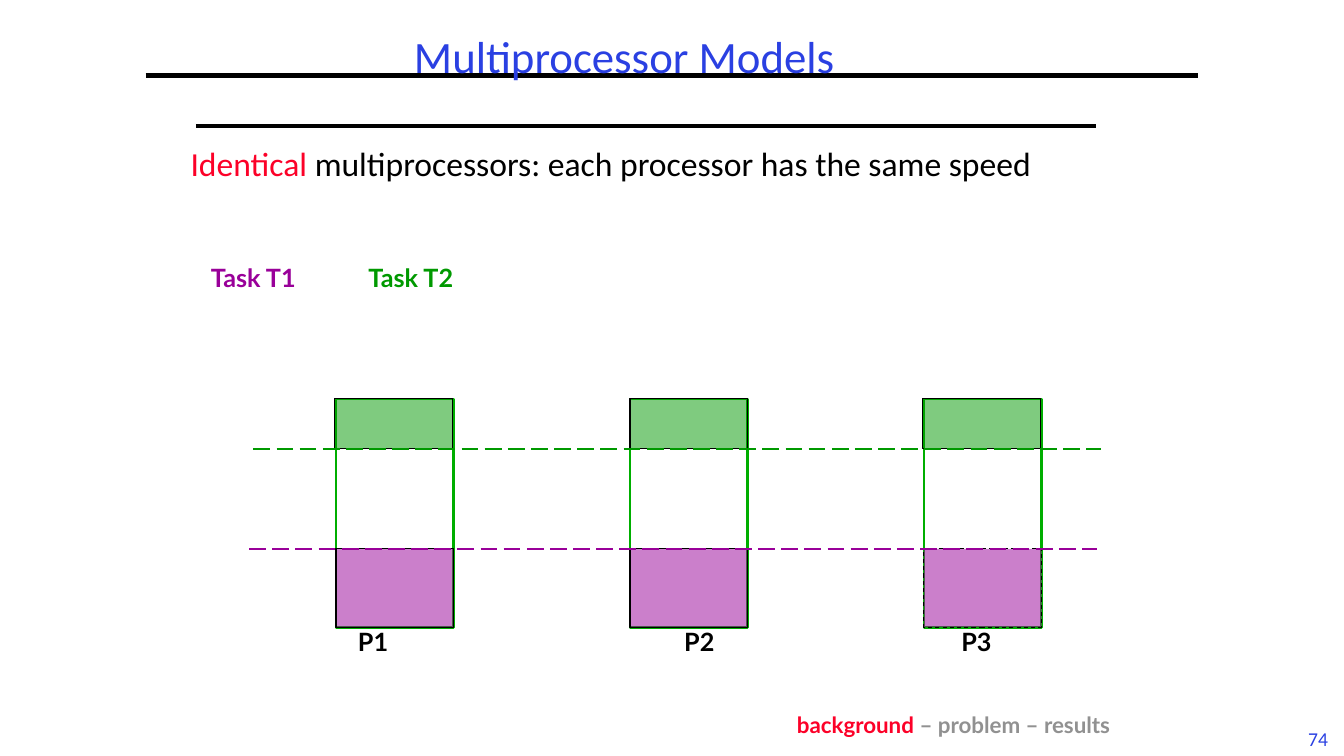
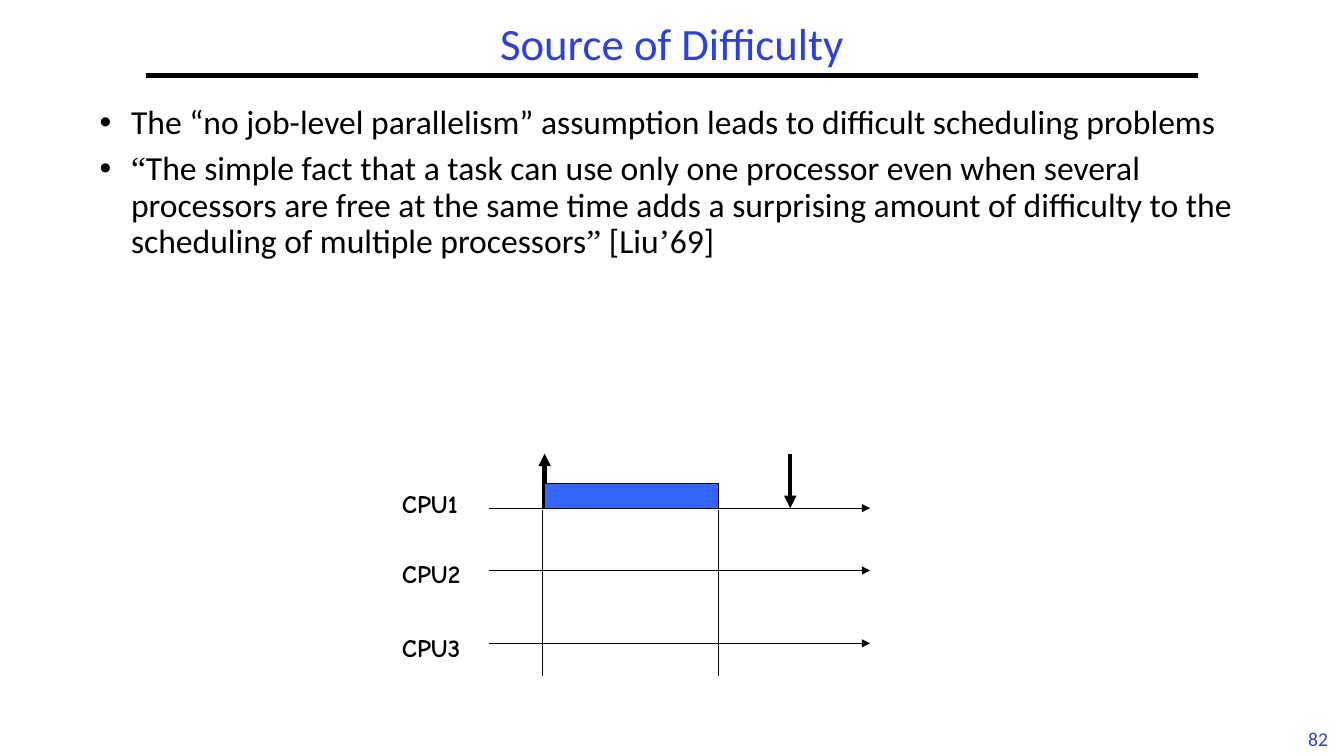
from lxml import etree
from pptx import Presentation
from pptx.dml.color import RGBColor
from pptx.enum.dml import MSO_LINE
from pptx.enum.shapes import MSO_CONNECTOR, MSO_SHAPE
from pptx.enum.text import MSO_ANCHOR, PP_ALIGN
from pptx.oxml.ns import qn
from pptx.util import Pt

RECTANGLE = MSO_SHAPE.RECTANGLE
STRAIGHT = MSO_CONNECTOR.STRAIGHT
DASH, LONG_DASH = MSO_LINE.DASH, MSO_LINE.LONG_DASH
LEFT, CENTER, RIGHT = PP_ALIGN.LEFT, PP_ALIGN.CENTER, PP_ALIGN.RIGHT
TOP, MIDDLE, BOTTOM = MSO_ANCHOR.TOP, MSO_ANCHOR.MIDDLE, MSO_ANCHOR.BOTTOM

BLACK, BLUE, RED, GRAY = "000000", "2A40E2", "FC0128", "919191"
PURPLE, GREEN, FRAME_GREEN, JOB_BLUE = "990099", "009900", "00AE00", "3366FF"

TITLE = {"name": "Calibri", "size": Pt(32), "color": BLUE}
PAGE_NUMBER = {"name": "Calibri", "size": Pt(14), "color": BLUE}
BODY = {"name": "Calibri", "size": Pt(24), "color": BLACK}
QUOTE_MARK = {**BODY, "name": "Times New Roman"}
LABEL = {"name": "Lato", "size": Pt(18), "bold": True, "color": BLACK}
FOOTER = {**LABEL, "size": Pt(16), "color": GRAY}
CPU_LABEL = {**LABEL, "name": "Comic Neue"}


def paint(color_format, hex_color):
    color_format.rgb = RGBColor.from_string(hex_color)


def apply_format(font, values):
    for attribute, value in values.items():
        if attribute == "color":
            paint(font.color, value)
        else:
            setattr(font, attribute, value)


def set_bullet(paragraph, indent):
    properties = paragraph._p.get_or_add_pPr()
    properties.set("marL", str(Pt(indent)))
    properties.set("indent", str(-Pt(indent)))
    etree.SubElement(properties, qn("a:buFont"), typeface="Arial")
    etree.SubElement(properties, qn("a:buChar"), char="•")


def add_text(slide, box, paragraphs, align=LEFT, anchor=TOP, wrap=True,
             spacing=1.0, gap=0, bullet_indent=None):
    frame = slide.shapes.add_textbox(*map(Pt, box)).text_frame
    frame.word_wrap = wrap
    frame.vertical_anchor = anchor
    for index, runs in enumerate(paragraphs):
        paragraph = frame.add_paragraph() if index else frame.paragraphs[0]
        paragraph.alignment = align
        paragraph.line_spacing = spacing
        if index:
            paragraph.space_before = Pt(gap)
        if bullet_indent:
            set_bullet(paragraph, bullet_indent)
        for text, values in runs:
            run = paragraph.add_run()
            run.text = text
            apply_format(run.font, values)


def set_line(line, color, width, dash=None):
    paint_target = line.fill
    paint_target.solid()
    paint(paint_target.fore_color, color)
    line.width = Pt(width)
    if dash:
        line.dash_style = dash


def add_line(slide, start, end, color=BLACK, width=0.75, dash=None, arrow=False):
    connector = slide.shapes.add_connector(STRAIGHT, *map(Pt, (*start, *end)))
    set_line(connector.line, color, width, dash)
    if arrow:
        etree.SubElement(connector.line._get_or_add_ln(), qn("a:tailEnd"), type="triangle")
    etree.SubElement(connector._element.spPr, qn("a:effectLst"))


def add_rect(slide, box, fill=None, alpha=None, line=BLACK, width=0.75, dash=None):
    rect = slide.shapes.add_shape(RECTANGLE, *map(Pt, box))
    rect.shadow.inherit = False
    set_line(rect.line, line, width, dash)
    if fill is None:
        rect.fill.background()
        return
    rect.fill.solid()
    paint(rect.fill.fore_color, fill)
    if alpha:
        color = rect._element.spPr.find(qn("a:solidFill"))[0]
        etree.SubElement(color, qn("a:alpha"), val=str(alpha * 1000))


def add_base(presentation, title, title_box, number):
    slide = presentation.slides.add_slide(presentation.slide_layouts[6])
    add_text(slide, (926, 516, 31, 24), [[(number, PAGE_NUMBER)]], CENTER, wrap=False)
    add_line(slide, (104, 54), (856, 54), width=3)
    add_text(slide, title_box, [[(title, TITLE)]], CENTER, MIDDLE, spacing=0.9)
    return slide


def add_label(slide, box, text, color=BLACK):
    add_text(slide, box, [[(text, {**LABEL, "color": color})]], CENTER, wrap=False, spacing=1.1)


def add_processors(slide, left, top, width, height):
    bar_width, pitch, t2_height, t1_height = 84, 210, 35.5, 56
    t1_top = top + height - t1_height
    processors = [("P1", 8, 1, None), ("P2", 31, 0, None), ("P3", 19, 1, DASH)]
    bars = [(left + 62 + index * pitch, *details) for index, details in enumerate(processors)]

    for bar_left, name, label_offset, _, _ in bars:
        add_rect(slide, (bar_left, top, bar_width, height), line=FRAME_GREEN, width=2)
        add_label(slide, (bar_left + label_offset, top + height - 6, 37, 29), name)
    for bar_left, _, _, _, dash in bars:
        add_rect(slide, (bar_left, t1_top, bar_width, t1_height), PURPLE, 50, dash=dash)
    add_line(slide, (left, t1_top), (left + width, t1_top), PURPLE, 1.5, LONG_DASH)
    for bar_left, _, _, shift, _ in bars:
        add_rect(slide, (bar_left - shift, top, bar_width, t2_height), GREEN, 50)
    t2_bottom = top + t2_height
    add_line(slide, (left + 3, t2_bottom), (left + width + 3, t2_bottom), GREEN, 1.5, LONG_DASH)


def add_schedule(slide, left, top, width, height):
    axis_left, axis_top = left + 69, top + 39
    job_left, job_width, job_height = left + 109, 124.5, 17.5
    deadline = left + 284.5

    for name, axis_offset, label_offset in [("CPU1", 0, -18), ("CPU2", 44.5, -12), ("CPU3", 96.5, -11.5)]:
        axis = axis_top + axis_offset
        add_line(slide, (axis_left, axis), (left + width, axis), arrow=True)
        add_text(slide, (left, axis + label_offset, 60, 29), [[(name, CPU_LABEL)]], wrap=False)
    add_line(slide, (deadline, top), (deadline, axis_top), width=3, arrow=True)
    add_line(slide, (job_left, axis_top), (job_left, top), width=3, arrow=True)
    add_rect(slide, (job_left, axis_top - job_height, job_width, job_height), JOB_BLUE)
    for boundary in (job_left - 1.5, job_left + job_width):
        add_line(slide, (boundary, axis_top + 1), (boundary, top + height))


def build_models(presentation):
    slide = add_base(presentation, "Multiprocessor Models", (138, 12, 616, 60), "74")
    add_text(slide, (129, 91, 711, 84), [[
        ("Identical", {**BODY, "color": RED}),
        (" multiprocessors: each processor has the same speed", BODY),
    ]], spacing=1.25)
    add_line(slide, (140, 90), (783, 90), width=2.25)
    for task, task_left, color in [("Task T1", 141, PURPLE), ("Task T2", 253.5, GREEN)]:
        add_label(slide, (task_left, 181.5, 80, 29), task, color)
    add_processors(slide, 178, 285, 605.5, 163)
    add_text(slide, (436, 505, 368, 26), [[
        ("background", {**FOOTER, "color": RED}),
        (" – problem – results ", FOOTER),
    ]], RIGHT, BOTTOM)


def build_difficulty(presentation):
    slide = add_base(presentation, "Source of Difficulty", (104, 12, 752, 42), "82")
    add_text(slide, (64, 72, 832, 402), [
        [("The “no job-level parallelism” assumption leads to difficult scheduling problems", BODY)],
        [
            ("“", QUOTE_MARK),
            ("The simple fact that a task can use only one processor even when several "
             "processors are free at the same time adds a surprising amount of difficulty "
             "to the scheduling of multiple processors", BODY),
            ("”", QUOTE_MARK),
            (" [Liu", BODY),
            ("’", QUOTE_MARK),
            ("69]", BODY),
        ],
    ], spacing=0.9, gap=7, bullet_indent=22.5)
    add_schedule(slide, 280, 324, 341.5, 159)


def main():
    presentation = Presentation()
    presentation.slide_width, presentation.slide_height = Pt(960), Pt(540)
    build_models(presentation)
    build_difficulty(presentation)
    presentation.save("out.pptx")


if __name__ == "__main__":
    main()
